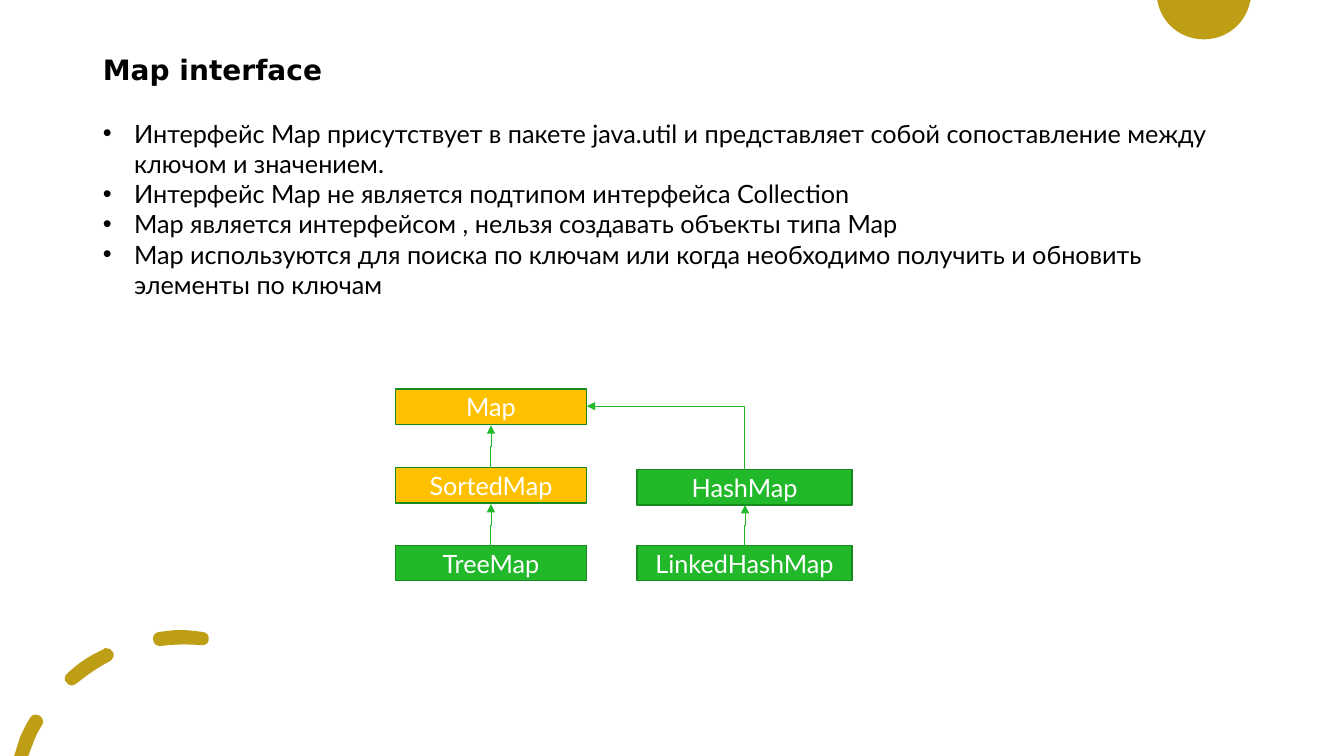
from dataclasses import dataclass

from lxml import etree
from pptx import Presentation
from pptx import util as u
from pptx.dml.color import RGBColor
from pptx.enum import shapes, text
from pptx.oxml import ns
from pptx.slide import Slide
from pptx.text.text import Font

COLOURS = {
    "gold": "BE9E15",
    "amber": "FFC000",
    "green": "21B92A",
    "dark green": "18891F",
    "black": "000000",
    "white": "FFFFFF",
}
BOX_HEIGHT = 0.35
BULLETS = [
    "Интерфейс Map присутствует в пакете java.util и представляет собой "
    "сопоставление между ключом и значением.",
    "Интерфейс Map не является подтипом интерфейса Collection",
    "Map является интерфейсом , нельзя создавать объекты типа Map",
    "Map используются для поиска по ключам или когда необходимо получить "
    "и обновить элементы по ключам",
]

Point = tuple[float, float]


@dataclass
class Contour:
    """A closed outline; a step of one point is a line, of three points a curve."""
    start: Point
    steps: list[list[Point]]


@dataclass
class TypeBox:
    name: str
    left: float
    top: float
    width: float
    fill: str


@dataclass
class Arrow:
    start: Point
    end: Point
    geometry: str = "bentConnector3"


TOP_DISC = [
    Contour((11.48, 0), [
        [(12.41, 0)],
        [(12.4, 0.01)],
        [(12.36, 0.23), (12.17, 0.39), (11.94, 0.39)],
        [(11.71, 0.39), (11.52, 0.23), (11.48, 0.01)],
    ]),
]
CORNER_DASHES = [
    Contour((0.36, 7.09), [
        [(0.34, 7.08), (0.31, 7.1), (0.3, 7.12)],
        [(0.26, 7.18), (0.23, 7.25), (0.2, 7.31)],
        [(0.14, 7.5)],
        [(0.28, 7.5)],
        [(0.33, 7.37)],
        [(0.35, 7.31), (0.38, 7.25), (0.42, 7.19)],
        [(0.44, 7.16), (0.42, 7.11), (0.39, 7.1)],
        [(0.38, 7.09), (0.37, 7.09), (0.36, 7.09)],
    ]),
    Contour((1.05, 6.43), [
        [(1.04, 6.43), (1.03, 6.43), (1.03, 6.44)],
        [(0.9, 6.5), (0.77, 6.58), (0.67, 6.68)],
        [(0.64, 6.7), (0.63, 6.75), (0.66, 6.77)],
        [(0.67, 6.79), (0.69, 6.8), (0.71, 6.8)],
        [(0.73, 6.8), (0.74, 6.79), (0.76, 6.78)],
        [(0.86, 6.7), (0.97, 6.62), (1.09, 6.56)],
        [(1.12, 6.54), (1.14, 6.5), (1.12, 6.47)],
        [(1.11, 6.44), (1.08, 6.43), (1.05, 6.43)],
    ]),
    Contour((1.79, 6.25), [
        [(1.72, 6.25), (1.65, 6.26), (1.58, 6.27)],
        [(1.54, 6.27), (1.51, 6.31), (1.52, 6.35)],
        [(1.52, 6.38), (1.55, 6.41), (1.59, 6.41)],
        [(1.73, 6.39), (1.86, 6.39), (1.99, 6.4)],
        [(2.03, 6.41), (2.07, 6.38), (2.07, 6.35)],
        [(2.08, 6.31), (2.05, 6.27), (2.01, 6.27)],
        [(1.94, 6.26), (1.86, 6.25), (1.79, 6.25)],
    ]),
]
TYPE_BOXES = [
    TypeBox("Map", 3.92, 3.86, 1.9, "amber"),
    TypeBox("SortedMap", 3.92, 4.64, 1.9, "amber"),
    TypeBox("TreeMap", 3.92, 5.41, 1.9, "green"),
    TypeBox("HashMap", 6.32, 4.66, 2.13, "green"),
    TypeBox("LinkedHashMap", 6.32, 5.41, 2.13, "green"),
]
ARROWS = [
    Arrow((4.86, 5.42), (4.87, 5.0)),
    Arrow((4.86, 4.64), (4.87, 4.22)),
    Arrow((7.38, 5.42), (7.39, 5.01)),
    Arrow((7.38, 4.66), (5.82, 4.03), "bentConnector2"),
]


def colour(name: str) -> RGBColor:
    return RGBColor.from_string(COLOURS[name])


def set_font(font: Font, family: str, size: int, fill: str, bold: bool = False) -> None:
    font.name, font.size, font.bold = family, u.Pt(size), bold
    font.color.rgb = colour(fill)


def add_decoration(page: Slide, contours: list[Contour]) -> None:
    """Draw all points as lines, then join each step of three into a curve."""
    builder = page.shapes.build_freeform(*map(u.Inches, contours[0].start))
    for contour in contours:
        if contour is not contours[0]:
            builder.move_to(*map(u.Inches, contour.start))
        points = [(u.Inches(x), u.Inches(y)) for step in contour.steps for x, y in step]
        builder.add_line_segments(points, close=True)
    decoration = builder.convert_to_shape()
    lines = iter(list(decoration._element.spPr.iter(ns.qn("a:lnTo"))))
    for step in (step for contour in contours for step in contour.steps):
        nodes = [next(lines) for _ in step]
        if len(nodes) == 3:
            curve = etree.Element(ns.qn("a:cubicBezTo"))
            nodes[0].addprevious(curve)
            for node in nodes:
                curve.append(node[0])
                node.getparent().remove(node)
    decoration.shadow.inherit = False
    decoration.fill.solid()
    decoration.fill.fore_color.rgb = colour("gold")
    decoration.line.fill.background()


def fill_title(page: Slide) -> None:
    title = page.shapes.title
    title.left, title.top = u.Inches(0.92), u.Inches(0.4)
    title.width, title.height = u.Inches(11.39), u.Inches(0.61)
    frame = title.text_frame
    frame.text = "Map interface"
    frame.auto_size = text.MSO_AUTO_SIZE.NONE
    frame.vertical_anchor = text.MSO_ANCHOR.MIDDLE
    para = frame.paragraphs[0]
    para.alignment, para.line_spacing = text.PP_ALIGN.LEFT, 0.9
    set_font(para.runs[0].font, "DejaVu Sans", 20, "black", bold=True)


def fill_body(page: Slide) -> None:
    body = page.placeholders[1]
    body.left, body.top = u.Inches(0.92), u.Inches(1.12)
    body.width, body.height = u.Inches(11.39), u.Inches(1.92)
    frame = body.text_frame
    frame.text = "\n".join(BULLETS)
    frame.auto_size = text.MSO_AUTO_SIZE.SHAPE_TO_FIT_TEXT
    for para in frame.paragraphs:
        properties = para._p.get_or_add_pPr()
        properties.set("marL", str(u.Inches(0.31)))
        properties.set("indent", str(-u.Inches(0.31)))
        etree.SubElement(properties, ns.qn("a:buChar"), char="•")
        para.space_before = u.Pt(0)
        set_font(para.runs[0].font, "Lato", 18, "black")


def add_type_box(page: Slide, item: TypeBox) -> None:
    box = page.shapes.add_shape(
        shapes.MSO_SHAPE.RECTANGLE,
        u.Inches(item.left), u.Inches(item.top), u.Inches(item.width), u.Inches(BOX_HEIGHT),
    )
    box.shadow.inherit = False
    box.fill.solid()
    box.fill.fore_color.rgb = colour(item.fill)
    box.line.color.rgb = colour("dark green")
    box.line.width = u.Pt(1)
    frame = box.text_frame
    frame.text = item.name
    frame.word_wrap = True
    frame.vertical_anchor = text.MSO_ANCHOR.MIDDLE
    para = frame.paragraphs[0]
    para.alignment = text.PP_ALIGN.CENTER
    set_font(para.runs[0].font, "Lato", 18, "white")


def add_arrow(page: Slide, arrow: Arrow) -> None:
    """Draw an elbow that leaves upwards: a sideways one turned by 270 degrees."""
    (x0, y0), (x1, y1) = arrow.start, arrow.end
    middle_x, middle_y = (x0 + x1) / 2, (y0 + y1) / 2
    half_rise, half_run = (y0 - y1) / 2, (x1 - x0) / 2
    corners = (middle_x - half_rise, middle_y - half_run, middle_x + half_rise, middle_y + half_run)
    connector = page.shapes.add_connector(shapes.MSO_CONNECTOR.ELBOW, *map(u.Inches, corners))
    connector.line.color.rgb = colour("green")
    connector.line.width = u.Pt(0.5)
    properties = connector._element.spPr
    properties.find(ns.qn("a:xfrm")).set("rot", str(270 * 60000))
    properties.find(ns.qn("a:prstGeom")).set("prst", arrow.geometry)
    etree.SubElement(properties.find(ns.qn("a:ln")), ns.qn("a:tailEnd"), type="triangle")
    etree.SubElement(properties, ns.qn("a:effectLst"))


def main() -> None:
    deck = Presentation()
    deck.slide_width, deck.slide_height = u.Inches(13.33), u.Inches(7.5)
    page = deck.slides.add_slide(deck.slide_layouts[1])
    for contours in (TOP_DISC, CORNER_DASHES):
        add_decoration(page, contours)
    fill_title(page)
    fill_body(page)
    for item in TYPE_BOXES:
        add_type_box(page, item)
    for arrow in ARROWS:
        add_arrow(page, arrow)
    deck.save("out.pptx")


if __name__ == "__main__":
    main()
